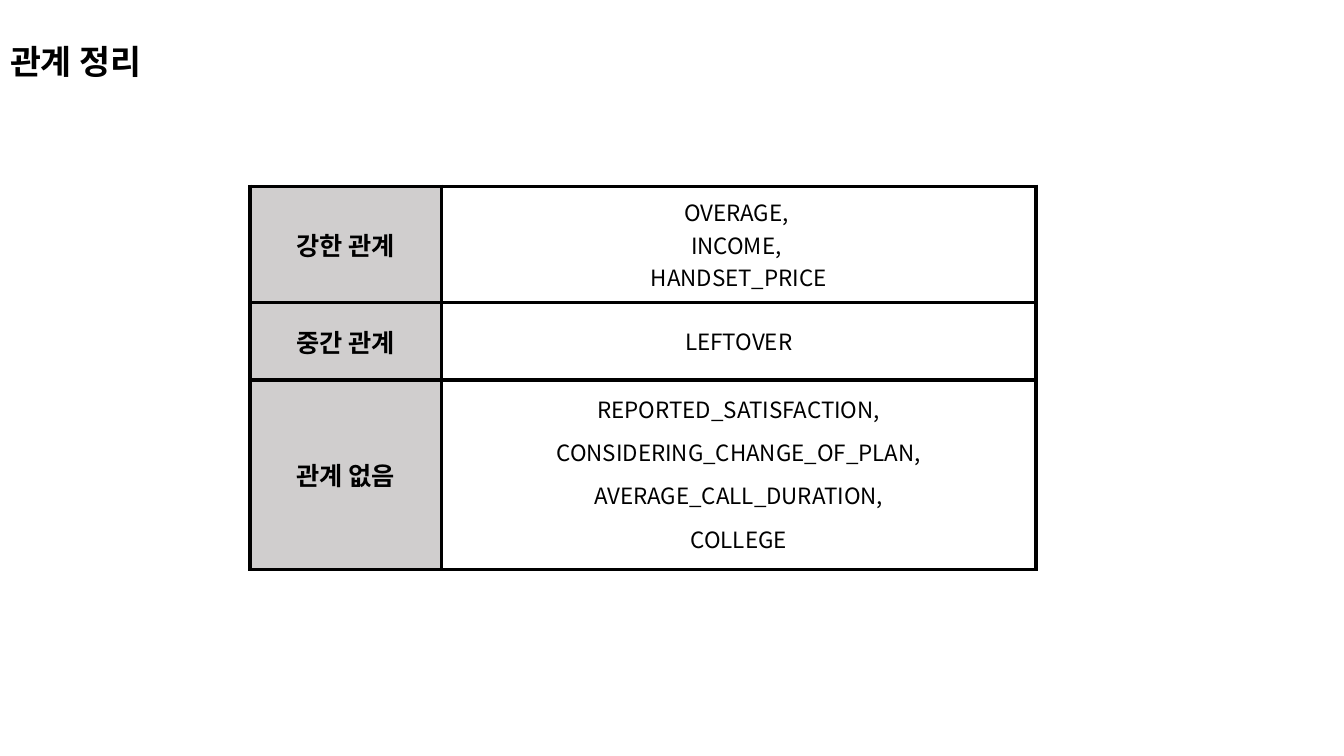
from dataclasses import dataclass

from lxml.etree import SubElement
from pptx import Presentation
from pptx.dml.color import RGBColor
from pptx.enum.text import MSO_ANCHOR, PP_ALIGN
from pptx.oxml.ns import qn
from pptx.slide import Slide
from pptx.table import _Cell
from pptx.text.text import _Paragraph
from pptx.util import Pt


@dataclass(frozen=True)
class Theme:
    font: str = "Noto Sans CJK KR"
    ink: str = "000000"
    label_fill: str = "D0CECE"
    title_size: float = 24
    label_size: float = 18
    variable_size: float = 16
    border_width: float = 3


@dataclass(frozen=True)
class RelationRow:
    label: str
    variables: tuple[str, ...]
    height: float
    line_spacing: float = 1.0
    space_before: float = 0


THEME = Theme()
COLUMN_WIDTHS = (136.8, 424.8)
TABLE_LEFT, TABLE_TOP = 178.56, 133.2
ROWS = (
    RelationRow("강한 관계", ("OVERAGE, ", "INCOME, ", "HANDSET_PRICE"), 82.8),
    RelationRow("중간 관계", ("LEFTOVER",), 55.44),
    RelationRow(
        "관계 없음",
        (
            "REPORTED_SATISFACTION,",
            "CONSIDERING_CHANGE_OF_PLAN,",
            "AVERAGE_CALL_DURATION,",
            "COLLEGE",
        ),
        135.36,
        line_spacing=0.9,
        space_before=10,
    ),
)


def format_paragraph(paragraph: _Paragraph, size: float, bold: bool, alignment: PP_ALIGN,
                     line_spacing: float = 1.0, space_before: float = 0) -> None:
    paragraph.alignment = alignment
    paragraph.line_spacing = line_spacing
    paragraph.space_before = Pt(space_before)
    for run in paragraph.runs:
        run.font.name = THEME.font
        run.font.size = Pt(size)
        run.font.bold = bold
        run.font.color.rgb = RGBColor.from_string(THEME.ink)
        SubElement(run.font._element, qn("a:ea"), typeface=THEME.font)


def add_borders(cell: _Cell) -> None:
    properties = cell._tc.get_or_add_tcPr()
    for side in ("L", "R", "T", "B"):
        line = SubElement(properties, qn(f"a:ln{side}"), w=str(Pt(THEME.border_width)))
        fill = SubElement(line, qn("a:solidFill"))
        SubElement(fill, qn("a:srgbClr"), val=THEME.ink)


def fill_cell(cell: _Cell, lines: tuple[str, ...], size: float, bold: bool,
              line_spacing: float = 1.0, space_before: float = 0) -> None:
    cell.vertical_anchor = MSO_ANCHOR.MIDDLE
    cell.text_frame.text = "\n".join(lines)
    for paragraph in cell.text_frame.paragraphs:
        format_paragraph(paragraph, size, bold, PP_ALIGN.CENTER, line_spacing, space_before)
    add_borders(cell)


def add_title(slide: Slide, text: str) -> None:
    title = slide.shapes.title
    title.left, title.top, title.width, title.height = Pt(0), Pt(18), Pt(491.76), Pt(54.72)
    title.text_frame.text = text
    title.text_frame.vertical_anchor = MSO_ANCHOR.MIDDLE
    format_paragraph(title.text_frame.paragraphs[0], THEME.title_size, True,
                     PP_ALIGN.LEFT, line_spacing=0.9)


def add_relation_table(slide: Slide) -> None:
    table = slide.shapes.add_table(
        len(ROWS), len(COLUMN_WIDTHS), Pt(TABLE_LEFT), Pt(TABLE_TOP),
        Pt(sum(COLUMN_WIDTHS)), Pt(sum(row.height for row in ROWS)),
    ).table
    table.first_row = table.horz_banding = False
    for column, width in zip(table.columns, COLUMN_WIDTHS):
        column.width = Pt(width)
    for index, row in enumerate(ROWS):
        table.rows[index].height = Pt(row.height)
        label, variables = table.cell(index, 0), table.cell(index, 1)
        fill_cell(label, (row.label,), THEME.label_size, True)
        label.fill.solid()
        label.fill.fore_color.rgb = RGBColor.from_string(THEME.label_fill)
        fill_cell(variables, row.variables, THEME.variable_size, False,
                  row.line_spacing, row.space_before)
        variables.fill.background()


def main() -> None:
    presentation = Presentation()
    presentation.slide_width, presentation.slide_height = Pt(960), Pt(540)
    slide = presentation.slides.add_slide(presentation.slide_layouts[5])
    add_relation_table(slide)
    add_title(slide, "관계 정리")
    presentation.save("out.pptx")


if __name__ == "__main__":
    main()
